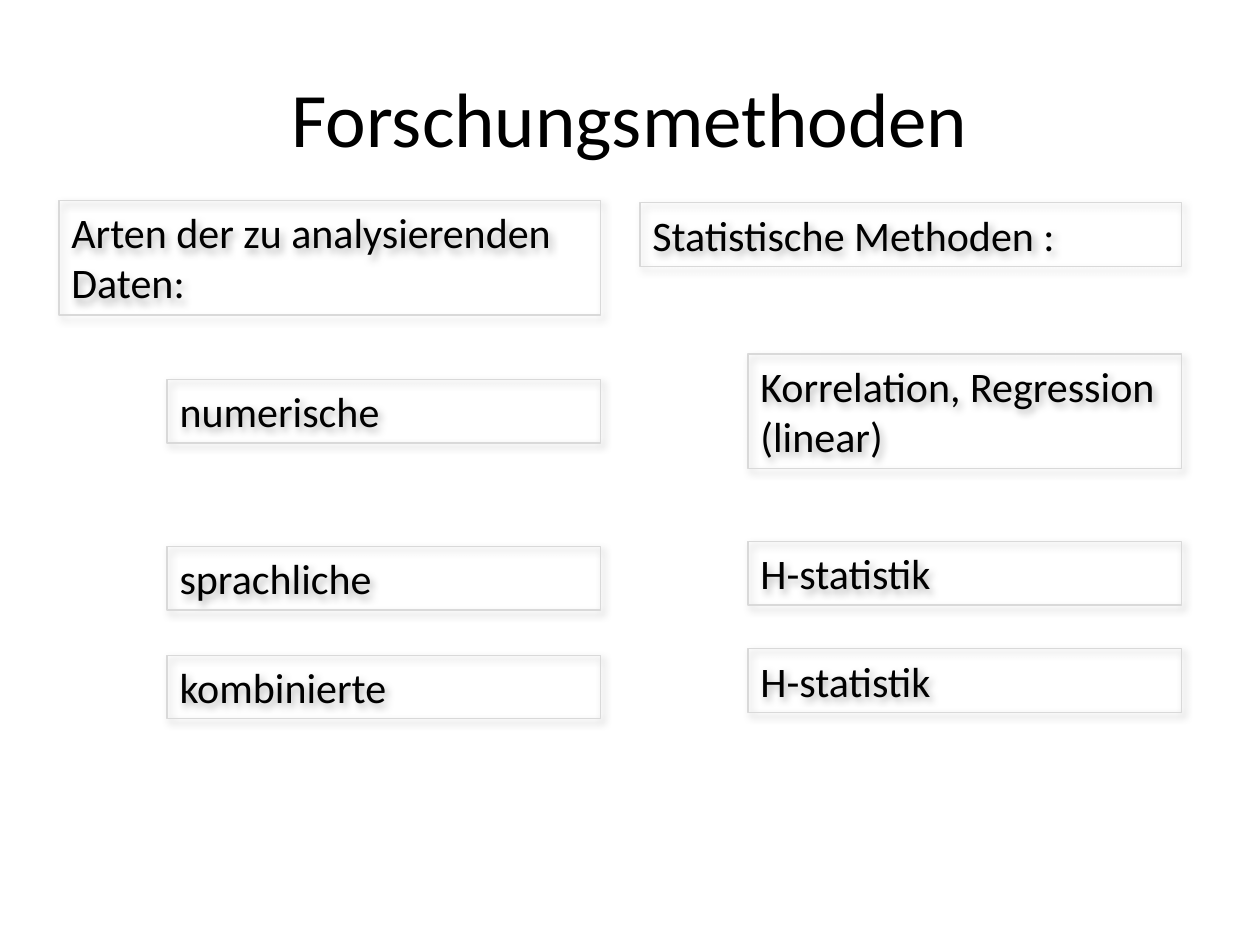
from lxml.etree import SubElement
from pptx import Presentation
from pptx.dml.color import RGBColor
from pptx.enum.shapes import MSO_SHAPE
from pptx.enum.text import MSO_ANCHOR, MSO_AUTO_SIZE, PP_ALIGN
from pptx.oxml.ns import qn
from pptx.util import Cm, Pt

BLACK = "000000"
BORDER = "D9D9D9"
INDENT = 2.18
HEADING_WIDTH = 10.92
LINE_HEIGHTS = {1: 1.28, 2: 2.31}

DATA_TYPES = [
    ("Arten der zu analysierenden Daten:", 4.04, 2),
    ("numerische", 7.65, 1),
    ("sprachliche", 11.02, 1),
    ("kombinierte", 13.21, 1),
]
METHODS = [
    ("Statistische Methoden :", 4.09, 1),
    ("Korrelation, Regression (linear)", 7.14, 2),
    ("H-statistik", 10.92, 1),
    ("H-statistik", 13.08, 1),
]


def color(hex_string):
    return RGBColor.from_string(hex_string)


def write(frame, wording, size, align):
    frame.word_wrap = True
    paragraph = frame.paragraphs[0]
    paragraph.text = wording
    paragraph.alignment = align
    paragraph.font.name = "Calibri"
    paragraph.font.size = Pt(size)
    paragraph.font.color.rgb = color(BLACK)


def add_title(slide, wording):
    title = slide.shapes.add_textbox(Cm(1.27), Cm(0.76), Cm(22.86), Cm(3.18))
    title.text_frame.vertical_anchor = MSO_ANCHOR.MIDDLE
    write(title.text_frame, wording, 44, PP_ALIGN.CENTER)


def cast_shadow(box):
    box.shadow.inherit = False
    effects = box._element.spPr.find(qn("a:effectLst"))
    shadow = SubElement(effects, qn("a:outerShdw"), blurRad=str(Pt(4.5)),
                        dist=str(Pt(2.6)), dir=str(53 * 60000),
                        algn="tl", rotWithShape="0")
    tint = SubElement(shadow, qn("a:srgbClr"), val=BLACK)
    SubElement(tint, qn("a:alpha"), val="30000")


def add_box(slide, wording, left, top, width, lines):
    box = slide.shapes.add_shape(MSO_SHAPE.RECTANGLE, Cm(left), Cm(top),
                                 Cm(width), Cm(LINE_HEIGHTS[lines]))
    box.fill.background()
    box.line.color.rgb = color(BORDER)
    box.line.width = Pt(0.75)
    cast_shadow(box)
    box.text_frame.vertical_anchor = MSO_ANCHOR.TOP
    box.text_frame.auto_size = MSO_AUTO_SIZE.SHAPE_TO_FIT_TEXT
    write(box.text_frame, wording, 24, PP_ALIGN.LEFT)


def add_column(slide, left, entries):
    for position, (wording, top, lines) in enumerate(entries):
        indent = INDENT if position else 0
        add_box(slide, wording, left + indent, top, HEADING_WIDTH - indent, lines)


def main():
    presentation = Presentation()
    presentation.slide_width = Cm(25.4)
    presentation.slide_height = Cm(19.05)
    slide = presentation.slides.add_slide(presentation.slide_layouts[6])
    add_title(slide, "Forschungsmethoden")
    add_column(slide, 1.19, DATA_TYPES)
    add_column(slide, 12.9, METHODS)
    presentation.save("out.pptx")


if __name__ == "__main__":
    main()
